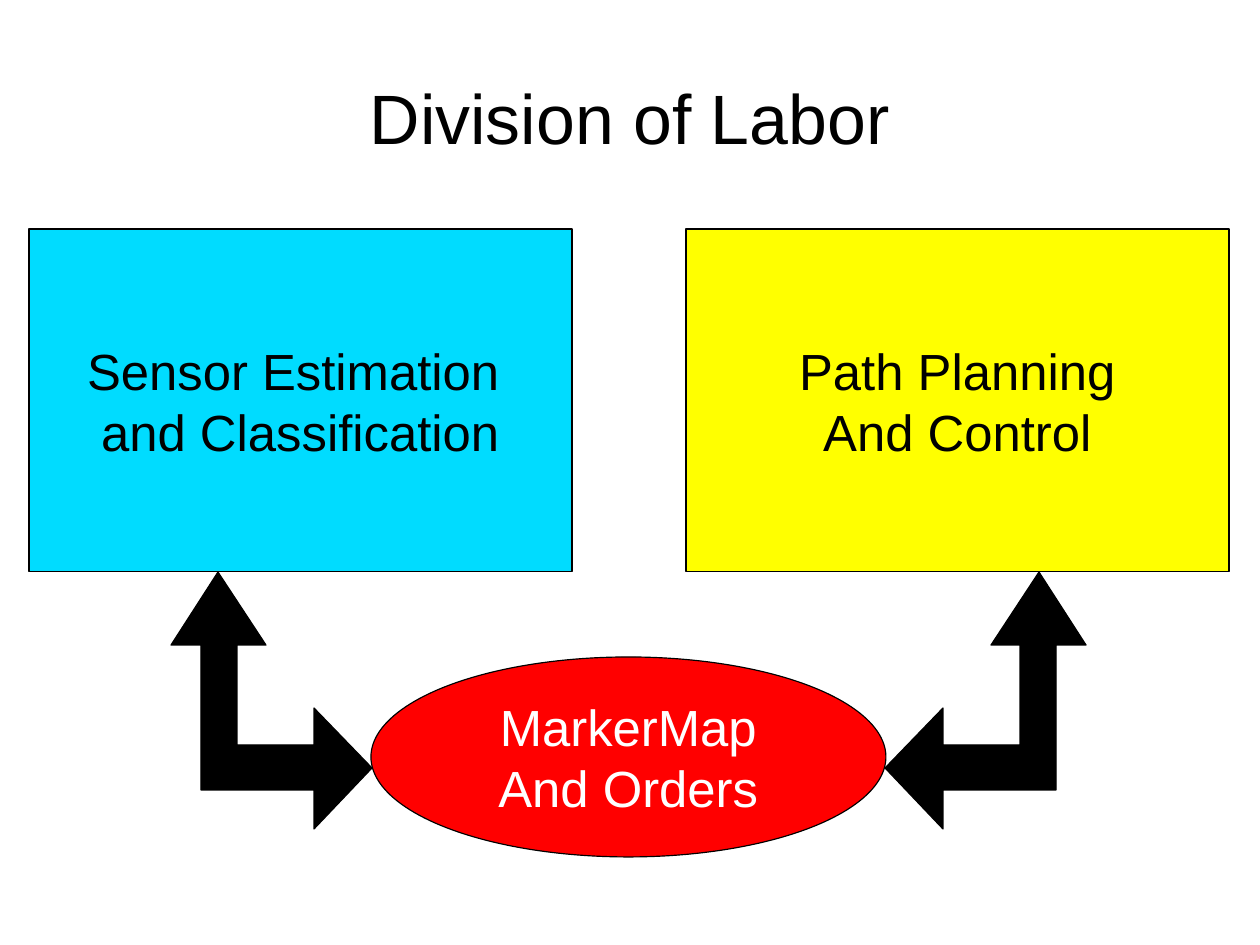
"""Build the Division of Labor slide."""
from dataclasses import dataclass

from pptx import Presentation
from pptx.dml.color import RGBColor
from pptx.enum.shapes import MSO_SHAPE
from pptx.enum.text import MSO_ANCHOR, PP_ALIGN
from pptx.util import Pt

PX = 8000


@dataclass
class Theme:
    font: str = "Arial"
    title: int = 44
    label: int = 32
    black: str = "000000"
    white: str = "FFFFFF"
    cyan: str = "00DCFF"
    yellow: str = "FFFF00"
    red: str = "FF0000"


theme = Theme()


def paint(shape, fill):
    shape.shadow.inherit = False
    shape.fill.solid()
    shape.fill.fore_color.rgb = RGBColor.from_string(fill)
    shape.line.color.rgb = RGBColor.from_string(theme.black)
    shape.line.width = 0


def write(shape, text, size, color):
    frame = shape.text_frame
    frame.word_wrap = True
    frame.vertical_anchor = MSO_ANCHOR.MIDDLE
    frame.text = text
    for line in frame.paragraphs:
        line.alignment = PP_ALIGN.CENTER
        line.font.name = theme.font
        line.font.size = Pt(size)
        line.font.color.rgb = RGBColor.from_string(color)


deck = Presentation()
deck.slide_width, deck.slide_height = 1260 * PX, 945 * PX
shapes = deck.slides.add_slide(deck.slide_layouts[6]).shapes

title = shapes.add_textbox(63 * PX, 38 * PX, 1134 * PX, 158 * PX)
write(title, "Division of Labor", theme.title, theme.black)
frame = title.text_frame
frame.margin_left = frame.margin_right = frame.margin_top = frame.margin_bottom = 0

nodes = [
    (MSO_SHAPE.RECTANGLE, (29, 229, 543, 343), theme.cyan, theme.black,
     "Sensor Estimation \nand Classification"),
    (MSO_SHAPE.RECTANGLE, (686, 229, 543, 343), theme.yellow, theme.black,
     "Path Planning\nAnd Control"),
    (MSO_SHAPE.OVAL, (371, 657, 515, 200), theme.red, theme.white,
     "MarkerMap\nAnd Orders"),
]
for kind, box, fill, color, text in nodes:
    node = shapes.add_shape(kind, *(side * PX for side in box))
    paint(node, fill)
    write(node, text, theme.label, color)

bend = [(372, 768), (314, 708), (314, 745), (237, 745), (237, 645), (266, 645),
        (218, 572), (171, 645), (201, 645), (201, 790), (314, 790), (314, 829)]
mirror = [(1257 - x, y) for x, y in bend]
for points in (bend, mirror):
    outline = shapes.build_freeform(*points[0], scale=PX)
    outline.add_line_segments(points[1:], close=True)
    paint(outline.convert_to_shape(), theme.black)

deck.save("out.pptx")
